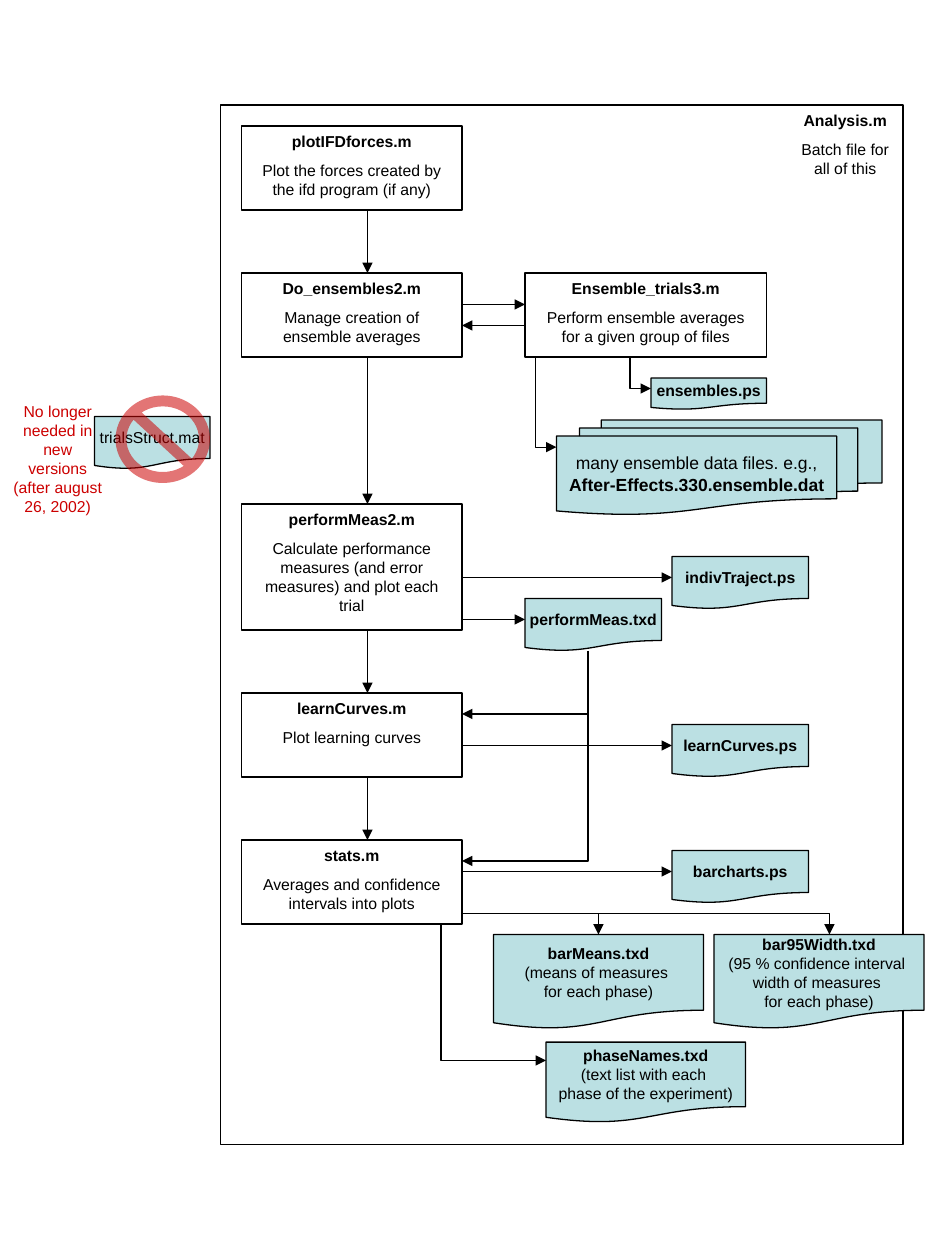
from dataclasses import dataclass

from lxml.etree import SubElement
from pptx import Presentation
from pptx.dml.color import RGBColor
from pptx.enum.shapes import MSO_CONNECTOR, MSO_SHAPE
from pptx.enum.text import MSO_ANCHOR, PP_ALIGN
from pptx.oxml.ns import qn
from pptx.util import Pt


@dataclass(frozen=True)
class Theme:
    ink: RGBColor = RGBColor(0, 0, 0)
    file: RGBColor = RGBColor(0xBB, 0xE0, 0xE3)
    warn: RGBColor = RGBColor(0xCC, 0, 0)
    font: str = "Arial"
    size: float = 9
    large: float = 10
    gap: float = 5.6
    line: float = 0.75
    thick: float = 1


THEME = Theme()


def style(par, bold=None, size=THEME.size, color=THEME.ink):
    """Centre a paragraph and format its runs; bold is the index of the bold run."""
    par.alignment = PP_ALIGN.CENTER
    for i, run in enumerate(par.runs):
        font = run.font
        font.name, font.size, font.bold = THEME.font, Pt(size), i == bold
        font.color.rgb = color
    for brk in par._p.findall(qn("a:br")):
        SubElement(brk, qn("a:rPr"), sz=str(int(size * 100)))


def shape(slide, kind, x, y, w, h, fill=None, line=THEME.ink):
    item = slide.shapes.add_shape(kind, Pt(x), Pt(y), Pt(w), Pt(h))
    item.shadow.inherit = False
    if fill is None:
        item.fill.background()
    else:
        item.fill.solid()
        item.fill.fore_color.rgb = fill
    if line is None:
        item.line.fill.background()
    else:
        item.line.color.rgb = line
        item.line.width = Pt(THEME.line)
    return item


def titled(frame, title, body):
    """Bold title paragraph with a plain one below it."""
    frame.word_wrap = True
    frame.vertical_anchor = MSO_ANCHOR.TOP
    frame.text = f"{title}\n{body}"
    head, text = frame.paragraphs
    style(head, bold=0)
    style(text)
    text.space_before = Pt(THEME.gap)


def step(slide, x, y, w, h, title, body):
    box = shape(slide, MSO_SHAPE.RECTANGLE, x, y, w, h)
    titled(box.text_frame, title, body)


def file(slide, x, y, w, h, text, bold=0):
    page = shape(slide, MSO_SHAPE.FLOWCHART_DOCUMENT, x, y, w, h, THEME.file)
    frame = page.text_frame
    frame.word_wrap = False
    frame.vertical_anchor = MSO_ANCHOR.MIDDLE
    frame.text = text
    style(frame.paragraphs[0], bold)


def stack(slide, x, y, w, h, text):
    pile = shape(slide, MSO_SHAPE.FLOWCHART_MULTIDOCUMENT, x, y, w, h, THEME.file)
    frame = pile.text_frame
    frame.word_wrap = True
    frame.vertical_anchor = MSO_ANCHOR.MIDDLE
    frame.margin_left = frame.margin_right = Pt(3.6)
    frame.text = text
    style(frame.paragraphs[0], bold=1, size=THEME.large)


def label(slide, x, y, w, h):
    frame = slide.shapes.add_textbox(Pt(x), Pt(y), Pt(w), Pt(h)).text_frame
    frame.word_wrap = True
    return frame


def ban(slide, x, y, w, h):
    sign = shape(slide, MSO_SHAPE.NO_SYMBOL, x, y, w, h, THEME.warn, None)
    sign.adjustments[0] = 0.125
    color = sign._element.spPr.find(qn("a:solidFill"))[0]
    SubElement(color, qn("a:alpha"), val="54000")


def tip(item, width):
    item.line.color.rgb = THEME.ink
    item.line.width = Pt(width)
    SubElement(item.line._get_or_add_ln(), qn("a:tailEnd"), type="triangle")


def arrow(slide, x1, y1, x2, y2):
    link = slide.shapes.add_connector(
        MSO_CONNECTOR.STRAIGHT, Pt(x1), Pt(y1), Pt(x2), Pt(y2))
    tip(link, THEME.line)
    SubElement(link._element.spPr, qn("a:effectLst"))


def bend(slide, *points, width=THEME.line):
    first, *rest = [(Pt(x), Pt(y)) for x, y in points]
    pen = slide.shapes.build_freeform(*first)
    pen.add_line_segments(rest, close=False)
    path = pen.convert_to_shape()
    path.shadow.inherit = False
    path.fill.background()
    tip(path, width)


def main():
    deck = Presentation()
    deck.slide_width, deck.slide_height = Pt(540), Pt(720)
    slide = deck.slides.add_slide(deck.slide_layouts[6])

    # Batch frame
    shape(slide, MSO_SHAPE.RECTANGLE, 126, 60, 390, 594)
    titled(label(slide, 450, 60, 66, 30), "Analysis.m", "Batch file for all of this")

    # Main column of steps, each linked to the next
    left, wide, spine = 138, 126, 210
    right = left + wide
    steps = [
        (72, 48, "plotIFDforces.m", "Plot the forces created by the ifd program (if any)"),
        (156, 48, "Do_ensembles2.m", "Manage creation of ensemble averages"),
        (288, 72, "performMeas2.m",
         "Calculate performance measures (and error measures) and plot each trial"),
        (396, 48, "learnCurves.m", "Plot learning curves"),
        (480, 48, "stats.m", "Averages and confidence intervals into plots"),
    ]
    for y, h, title, body in steps:
        step(slide, left, y, wide, h, title, body)
    for (y, h, *_), below in zip(steps, steps[1:]):
        arrow(slide, spine, y + h, spine, below[0])

    # Ensemble averaging and its files
    step(slide, 300, 156, 138, 48, "Ensemble_trials3.m",
         "Perform ensemble averages for a given group of files")
    arrow(slide, right, 174, 300, 174)
    arrow(slide, 300, 186, right, 186)
    file(slide, 372, 216, 66, 18, "ensembles.ps")
    stack(slide, 318, 240, 186, 54,
          "many ensemble data files. e.g.,\vAfter-Effects.330.ensemble.dat")
    bend(slide, (360, 204), (360, 222), (372, 222))
    bend(slide, (306, 204), (306, 255.5), (318, 255.5))

    # Files written by the steps
    for x, y, name in [(384, 318, "indivTraject.ps"), (300, 342, "performMeas.txd"),
                       (384, 414, "learnCurves.ps"), (384, 486, "barcharts.ps")]:
        arrow(slide, right, y + 12, x, y + 12)
        file(slide, x, y, 78, 30, name)

    # Measures read back by later steps
    for y in (408, 492):
        bend(slide, (336, 372), (336, y), (right, y), width=THEME.thick)

    # Text output of the statistics
    for x, drop, text in [
        (282, 342, "barMeans.txd\v(means of measures \vfor each phase)"),
        (408, 474, "bar95Width.txd\v(95 % confidence interval \v"
                   "width of measures \vfor each phase)"),
    ]:
        file(slide, x, 534, 120, 54, text)
        bend(slide, (right, 522), (drop, 522), (drop, 534))
    file(slide, 312, 595.5, 114, 46,
         "phaseNames.txd\v(text list with each \vphase of the experiment)")
    bend(slide, (252, 528), (252, 606), (312, 606))

    # Retired file
    file(slide, 54, 238, 66, 30, "trialsStruct.mat", bold=None)
    ban(slide, 66, 226, 54, 50)
    note = label(slide, 0, 226, 66, 30)
    note.text = "No longer needed in new versions (after august 26, 2002)"
    style(note.paragraphs[0], color=THEME.warn)

    deck.save("out.pptx")


if __name__ == "__main__":
    main()
